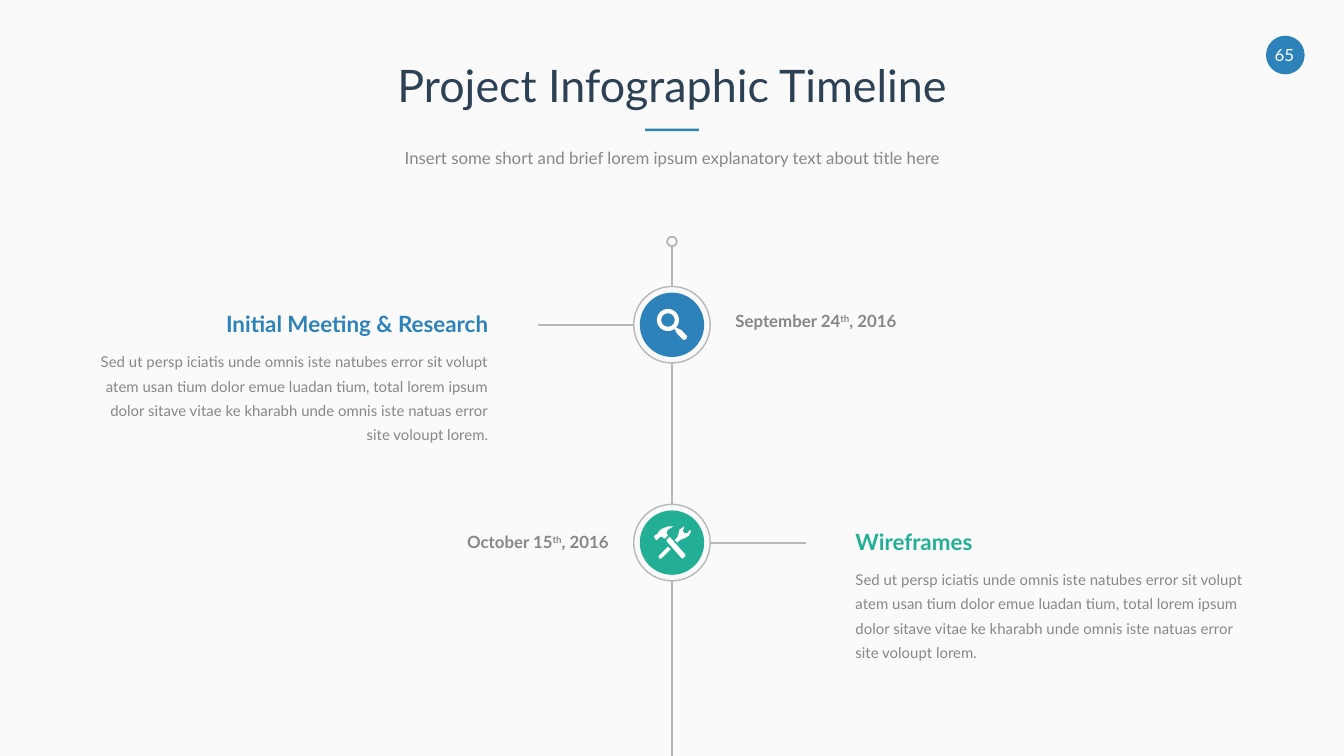
from math import cos, pi, sin

from lxml.etree import SubElement
from pptx import Presentation
from pptx.dml.color import RGBColor
from pptx.enum.shapes import MSO_CONNECTOR, MSO_SHAPE
from pptx.enum.text import MSO_ANCHOR, PP_ALIGN as ALIGN
from pptx.oxml.ns import qn
from pptx.util import Pt

WIDTH, HEIGHT = 720, 405
AXIS = WIDTH / 2
BLUE, GREEN, NAVY = "2D82B9", "23AF96", "2D4155"
GREY, RULE, WHITE, PAPER = "878787", "B7B7B7", "FFFFFF", "FAFAFA"
RING, DISC, DOT = 41, 34.5, 5.2
BODY = ("Sed ut persp iciatis unde omnis iste natubes error sit volupt atem usan "
        "tium dolor emue luadan tium, total lorem ipsum dolor sitave vitae ke "
        "kharabh unde omnis iste natuas error site voloupt lorem.")


def circle(x, y, radius, steps=32):
    return [(x + radius * cos(2 * pi * i / steps), y + radius * sin(2 * pi * i / steps))
            for i in range(steps)]


# Icon contours in hundredths of an inch around the disc centre
MAGNIFIER = [
    circle(-3, -3.5, 8.2),
    circle(-3, -3.5, 5),
    [(2, 3.2), (4, 7), (8, 11), (9.5, 11.3), (11, 10), (11.3, 8.5), (7, 4), (3.2, 2.2)],
]
TOOLS = [
    # wrench handle and head
    [(-10, 10), (-10, 11), (-9, 12), (-8, 12), (-1, 5), (-3, 3)],
    [(14, -9), (13, -9), (11.5, -7), (9, -7), (8, -9), (9, -11), (9, -12), (5.5, -9.5),
     (5, -7), (4, -4), (2, -2), (4, 0), (6, -2), (9, -3), (12.5, -5), (14, -8)],
    # hammer handle and head
    [(-2, -4), (-4, -2), (-4, -1), (7, 11.5), (8, 12), (10, 10), (10, 9), (-1.5, -4)],
    [(-9, -4), (-7.5, -4.5), (-6, -3), (-5, -3), (-3, -5), (-4, -7), (-3, -9.5), (1, -12),
     (-3, -12), (-8, -10), (-10, -8), (-11, -6), (-12, -6), (-13.5, -4.5), (-12, -2),
     (-11, -2), (-10, -3)],
]


def color(value):
    return RGBColor.from_string(value)


def write(frame, parts, size, tint, align, bold=False, spacing=None, bottom=0):
    """Fill a frame with one paragraph; every second part is superscript."""
    frame.word_wrap = True
    frame.vertical_anchor = MSO_ANCHOR.TOP
    frame.margin_left = frame.margin_top = frame.margin_right = 0
    frame.margin_bottom = Pt(bottom)
    paragraph = frame.paragraphs[0]
    paragraph.alignment = align
    if spacing:
        paragraph.line_spacing = spacing
    font = paragraph.font
    font.name, font.size, font.bold = "Lato", Pt(size), bold
    font.color.rgb = color(tint)
    for i, part in enumerate(parts):
        run = paragraph.add_run()
        run.text = part
        if i % 2:
            run._r.get_or_add_rPr().set("baseline", "30000")


def add_text(slide, box, parts, *style, **options):
    frame = slide.shapes.add_textbox(*map(Pt, box)).text_frame
    write(frame, parts, *style, **options)


def paint(shape, fill=None, line=None, weight=1):
    shape.shadow.inherit = False
    if fill:
        shape.fill.solid()
        shape.fill.fore_color.rgb = color(fill)
    else:
        shape.fill.background()
    if line:
        shape.line.color.rgb = color(line)
        shape.line.width = Pt(weight)
    else:
        shape.line.fill.background()


def add_circle(slide, x, y, size, **look):
    box = (x - size / 2, y - size / 2, size, size)
    paint(slide.shapes.add_shape(MSO_SHAPE.OVAL, *map(Pt, box)), **look)


def add_line(slide, *ends):
    line = slide.shapes.add_connector(MSO_CONNECTOR.STRAIGHT, *map(Pt, ends))
    line.line.color.rgb = color(RULE)
    line.line.width = Pt(1)
    SubElement(line._element.spPr, qn("a:effectLst"))


def add_icon(slide, x, y, contours):
    builder = None
    for contour in contours:
        points = [(Pt(x + 0.72 * dx), Pt(y + 0.72 * dy)) for dx, dy in contour]
        if builder is None:
            builder = slide.shapes.build_freeform(*points[0])
        else:
            builder.move_to(*points[0])
        builder.add_line_segments(points[1:], close=True)
    paint(builder.convert_to_shape(), fill=WHITE)


def add_header(slide, left, top, width):
    title = slide.shapes.title
    title.left, title.top, title.width, title.height = map(Pt, (left, top, width, 31.7))
    write(title.text_frame, ["Project Infographic Timeline"], 24, NAVY, ALIGN.CENTER,
          bottom=7.2)
    accent = (left + width / 2 - 14.4, top + 37.9, 28.8, 1.4)
    paint(slide.shapes.add_shape(MSO_SHAPE.RECTANGLE, *map(Pt, accent)), fill=BLUE)
    add_text(slide, (left, top + 48.2, width, 12.2),
             ["Insert some short and brief lorem ipsum explanatory text about title here"],
             9, GREY, ALIGN.CENTER, bottom=7.2)


def add_page_number(slide, x, y, number):
    add_circle(slide, x, y, 20.7, fill=BLUE)
    add_text(slide, (x - 9.6, y - 5.4, 18, 10.8), [number], 9, WHITE, ALIGN.CENTER)


def add_axis(slide, top, stops):
    """Draw the spine from its start dot, leaving a gap at each ring."""
    start = top + DOT
    for stop in stops:
        add_line(slide, AXIS, start, AXIS, stop - RING / 2)
        start = stop + RING / 2
    add_line(slide, AXIS, start, AXIS, HEIGHT)
    add_circle(slide, AXIS, top + DOT / 2, DOT, line=RULE)


def add_milestone(slide, y, side, tint, icon, heading, date, date_rise):
    """Place text on one side of the axis (-1 left, 1 right), date on the other."""
    def beside(direction, gap, width):
        return AXIS + gap if direction > 0 else AXIS - gap - width

    align, date_align = ((ALIGN.LEFT, ALIGN.RIGHT) if side > 0
                         else (ALIGN.RIGHT, ALIGN.LEFT))
    # Ring, disc and icon
    add_circle(slide, AXIS, y, RING, line=RULE, weight=0.75)
    add_circle(slide, AXIS, y, DISC, fill=tint)
    add_icon(slide, AXIS, y, icon)
    # Branch and description
    add_line(slide, AXIS + side * RING / 2, y, AXIS + side * 72, y)
    left = beside(side, 98.3, 208)
    add_text(slide, (left, y - 7.7, 208, 14.4), [heading], 12, tint, align, bold=True)
    add_text(slide, (left, y + 11.8, 208, 52.6), [BODY], 8, GREY, align, spacing=1.35)
    # Date
    add_text(slide, (beside(-side, 34, 116.6), y - date_rise, 116.6, 10.8), date,
             9, GREY, date_align, bold=True)


def main():
    deck = Presentation()
    deck.slide_width, deck.slide_height = Pt(WIDTH), Pt(HEIGHT)
    slide = deck.slides.add_slide(deck.slide_layouts[5])
    slide.background.fill.solid()
    slide.background.fill.fore_color.rgb = color(PAPER)

    add_header(slide, 54, 31, 612)
    add_page_number(slide, 688.6, 29.5, "65")
    research, wireframes = 174, 290.7
    add_axis(slide, 126.8, [research, wireframes])
    add_milestone(slide, research, -1, BLUE, MAGNIFIER, "Initial Meeting & Research",
                  ["September 24", "th", ", 2016"], 7.7)
    add_milestone(slide, wireframes, 1, GREEN, TOOLS, "Wireframes",
                  ["October 15", "th", ", 2016"], 5.6)
    deck.save("out.pptx")


if __name__ == "__main__":
    main()
